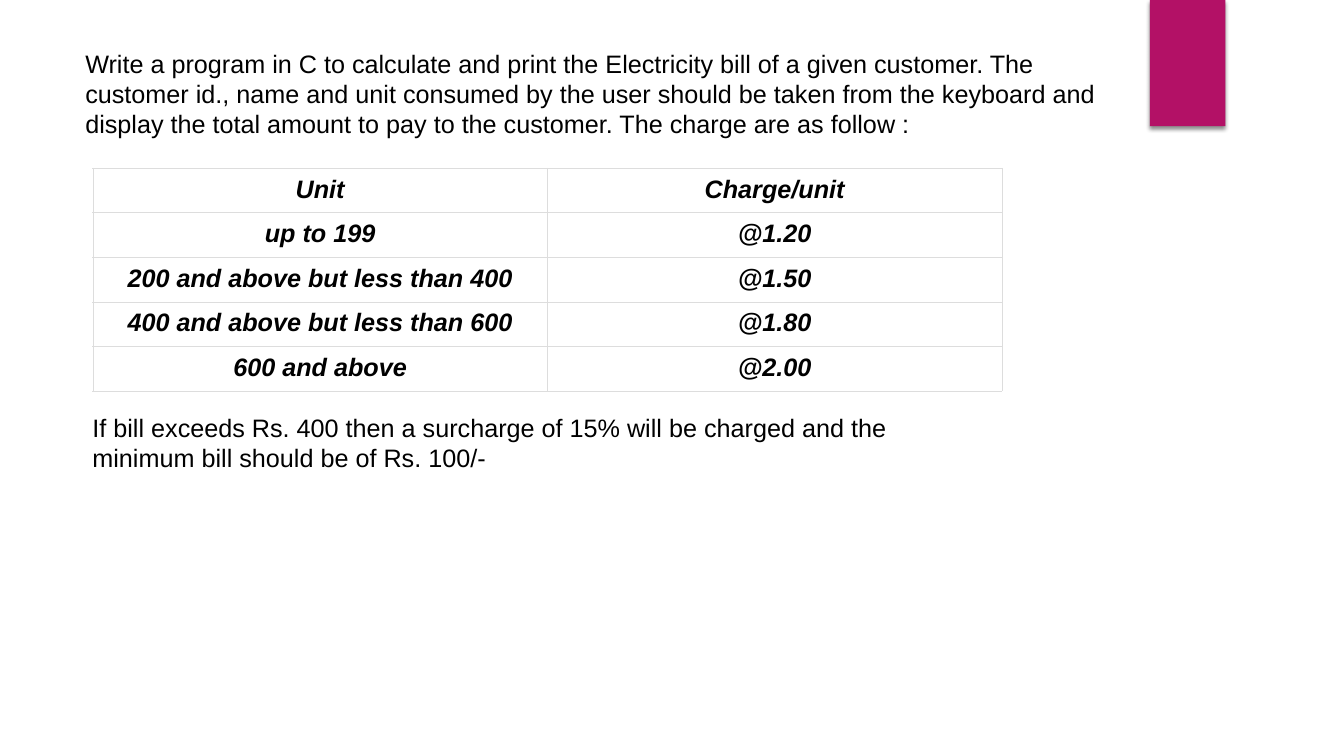
from dataclasses import dataclass

from lxml import etree
from pptx import Presentation
from pptx import util as u
from pptx.dml.color import RGBColor
from pptx.enum import shapes, text
from pptx.oxml import ns


@dataclass(frozen=True)
class Theme:
    accent: str = "B31166"
    ink: str = "000000"
    paper: str = "FFFFFF"
    rule: str = "DDDDDD"
    font: str = "Arial"
    body_size: float = 18
    rule_width: float = 0.6


@dataclass(frozen=True)
class Area:
    """Left, top, width and height in centimetres."""
    left: float
    top: float
    width: float
    height: float

    def lengths(self) -> tuple:
        return tuple(map(u.Cm, (self.left, self.top, self.width, self.height)))


@dataclass(frozen=True)
class Passage:
    area: Area
    wording: str


@dataclass(frozen=True)
class Rate:
    unit: str
    charge: str


THEME = Theme()
RIBBON = Area(28.98, 0, 1.9, 3.18)
RATE_TABLE = Area(2.34, 4.24, 22.91, 5.5)
CELL_INSET = u.Cm(0.18)

PASSAGES = [
    Passage(Area(1.9, 1.09, 26.95, 4.11),
            "Write a program in C to calculate and print the Electricity bill of a "
            "given customer. The customer id., name and unit consumed by the user "
            "should be taken from the keyboard and display the total amount to pay "
            "to the customer. The charge are as follow :"),
    Passage(Area(2.08, 10.26, 23.12, 1.8),
            "If bill exceeds Rs. 400 then a surcharge of 15% will be charged and "
            "the minimum bill should be of Rs. 100/-"),
]

RATES = [
    Rate("Unit", "Charge/unit"),
    Rate("up to 199", "@1.20"),
    Rate("200 and above but less than 400", "@1.50"),
    Rate("400 and above but less than 600", "@1.80"),
    Rate("600 and above", "@2.00"),
]


def write_text(frame, wording: str, *, bold: bool = False, italic: bool = False,
               align=text.PP_ALIGN.LEFT) -> None:
    para = frame.paragraphs[0]
    para.alignment = align
    span = para.add_run()
    span.text = wording
    span.font.name = THEME.font
    span.font.size = u.Pt(THEME.body_size)
    span.font.bold, span.font.italic = bold, italic
    span.font.color.rgb = RGBColor.from_string(THEME.ink)


def add_color(parent, color: str):
    return etree.SubElement(parent, ns.qn("a:srgbClr"), val=color)


def draw_ribbon(page, area: Area) -> None:
    ribbon = page.shapes.add_shape(shapes.MSO_SHAPE.RECTANGLE, *area.lengths())
    ribbon.fill.solid()
    ribbon.fill.fore_color.rgb = RGBColor.from_string(THEME.accent)
    ribbon.line.fill.background()
    ribbon.shadow.inherit = False
    effects = ribbon.element.spPr.find(ns.qn("a:effectLst"))
    shadow = etree.SubElement(
        effects, ns.qn("a:outerShdw"), blurRad=str(u.Pt(3)), dist=str(u.Pt(2)),
        dir="5400000", algn="ctr", rotWithShape="0")
    etree.SubElement(add_color(shadow, THEME.ink), ns.qn("a:alpha"), val="45000")


def draw_passage(page, passage: Passage) -> None:
    box = page.shapes.add_textbox(*passage.area.lengths())
    box.text_frame.word_wrap = True
    write_text(box.text_frame, passage.wording)


def set_borders(cell) -> None:
    properties = cell._tc.get_or_add_tcPr()
    for position, side in enumerate(("lnL", "lnR", "lnT", "lnB")):
        line = etree.Element(ns.qn(f"a:{side}"), w=str(u.Pt(THEME.rule_width)))
        add_color(etree.SubElement(line, ns.qn("a:solidFill")), THEME.rule)
        properties.insert(position, line)


def draw_rates(page, area: Area, rates: list[Rate]) -> None:
    table = page.shapes.add_table(len(rates), 2, *area.lengths()).table
    table.first_row = table.horz_banding = False
    for row, rate in zip(table.rows, rates):
        for cell, wording in zip(row.cells, (rate.unit, rate.charge)):
            cell.fill.solid()
            cell.fill.fore_color.rgb = RGBColor.from_string(THEME.paper)
            cell.margin_left = cell.margin_right = CELL_INSET
            cell.margin_top = cell.margin_bottom = CELL_INSET
            set_borders(cell)
            write_text(cell.text_frame, wording, bold=True, italic=True,
                       align=text.PP_ALIGN.CENTER)


# Deck and blank page
deck = Presentation()
deck.slide_width, deck.slide_height = u.Cm(33.87), u.Cm(19.05)
page = deck.slides.add_slide(deck.slide_layouts[6])

# Corner ribbon
draw_ribbon(page, RIBBON)

# Task wording and surcharge rule
for passage in PASSAGES:
    draw_passage(page, passage)

# Charges per unit
draw_rates(page, RATE_TABLE, RATES)

deck.save("out.pptx")
